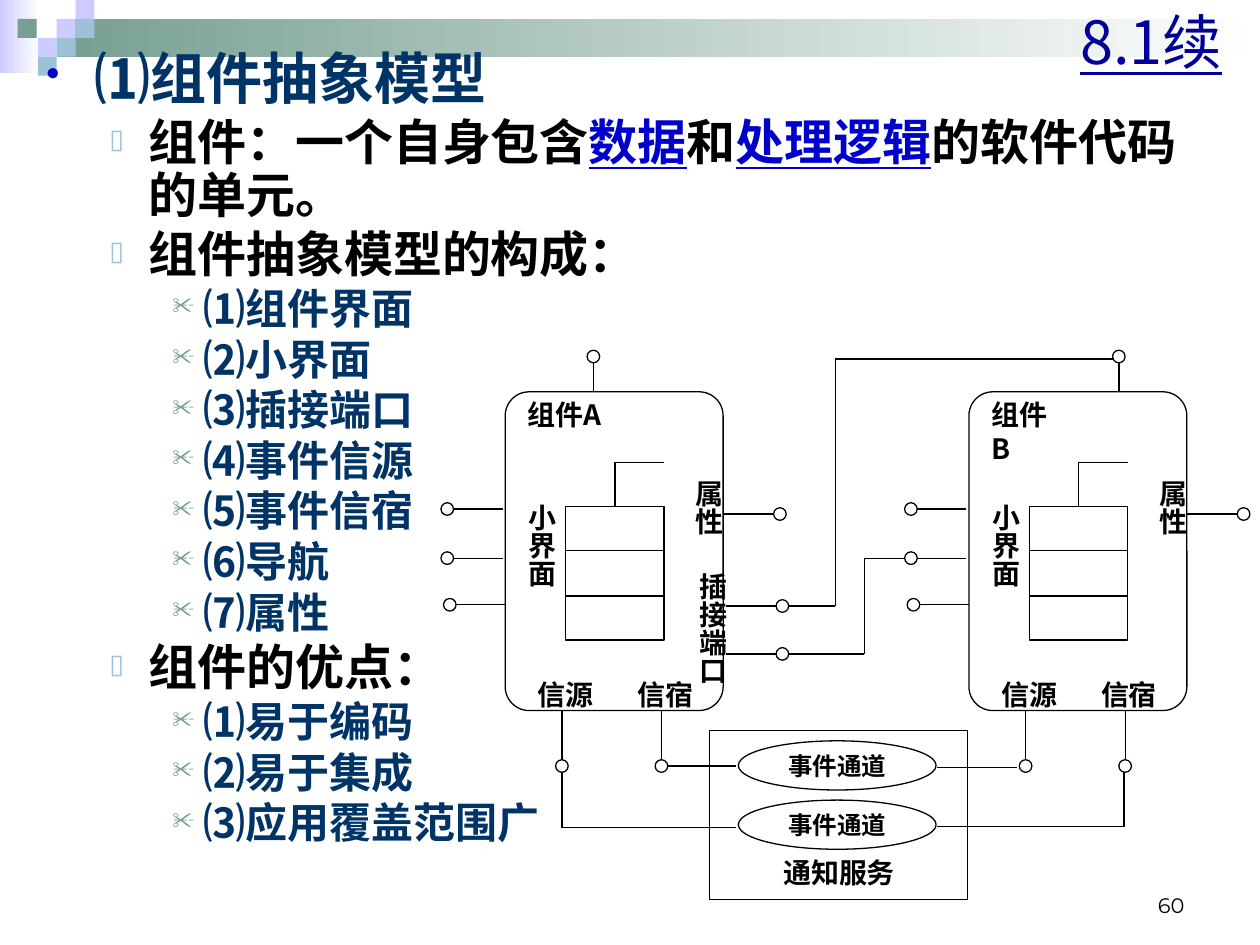
"""Build the slide on the abstract component model and its wiring diagram."""
from dataclasses import dataclass

from lxml import etree
from pptx import Presentation
from pptx import util as u
from pptx.dml.color import RGBColor
from pptx.enum import shapes, text
from pptx.oxml import ns

BLACK, NAVY, BLUE = "000000", "003366", "0000CC"
LILAC, SKY, GREEN, WHITE = "CCCCFF", "9DC2D7", "779F92", "FFFFFF"
CJK = "Noto Sans CJK SC"
COMPONENT_STEP = 3.68
CIRCLE = 0.1


@dataclass
class Level:
    size: int
    color: str
    left: float
    hanging: float
    space: float
    bullet: str
    bullet_color: str
    bullet_size: int


@dataclass
class Pin:
    x: float
    y: float
    dx: float
    dy: float


@dataclass
class Label:
    words: str
    left: float
    top: float
    width: float
    height: float
    vertical: bool = False
    font: str = "Arial"
    centred: bool = False


LEVELS = [
    Level(32, NAVY, 0.38, 0.38, 4, "•", BLUE, 70),
    Level(28, BLACK, 0.81, 0.31, 3.5, "▯", SKY, 55),
    Level(24, NAVY, 1.25, 0.25, 3, "✂", GREEN, 55),
]
OUTLINE = [
    (0, "⑴组件抽象模型"),
    (1, "组件：一个自身包含|数据|和|处理逻辑|的软件代码的单元。"),
    (1, "组件抽象模型的构成："),
    (2, "⑴组件界面"), (2, "⑵小界面"), (2, "⑶插接端口"), (2, "⑷事件信源"),
    (2, "⑸事件信宿"), (2, "⑹导航"), (2, "⑺属性"),
    (1, "组件的优点："),
    (2, "⑴易于编码"), (2, "⑵易于集成"), (2, "⑶应用覆盖范围广"),
]
SQUARES = [(0.45, 0.15, LILAC), (0.6, 0, LILAC), (0.6, 0.15, SKY), (0.3, 0.3, LILAC),
           (0.14, 0.15, GREEN), (0.45, 0.3, SKY), (0.3, 0.45, SKY)]
COMPONENT_PINS = [Pin(3.99, 4.04, -0.39, 0), Pin(3.99, 4.43, -0.39, 0), Pin(4.01, 4.8, -0.39, 0),
                  Pin(5.74, 4.08, 0.4, 0), Pin(4.46, 5.64, 0, 0.39), Pin(5.25, 5.64, 0, 0.39)]
OTHER_PINS = [Pin(5.76, 4.81, 0.4, 0), Pin(5.76, 5.19, 0.4, 0),
              Pin(4.71, 3.11, 0, -0.23), Pin(8.88, 3.11, 0, -0.23)]
COMPONENT_LABELS = [Label("信源", 4.17, 5.33, 0.86, 0.37), Label("信宿", 4.96, 5.33, 0.86, 0.37),
                    Label("属性", 5.35, 3.71, 0.46, 0.75, True),
                    Label("小界面", 4.02, 3.9, 0.46, 0.97, True)]
WIRES = [
    [(6.26, 5.19), (6.86, 5.19), (6.86, 4.43), (7.18, 4.43)],
    [(6.26, 4.81), (6.63, 4.81), (6.63, 2.85), (8.84, 2.85)],
    [(5.3, 6.08), (5.84, 6.08)],
    [(4.46, 6.13), (4.46, 6.57), (5.84, 6.57)],
    [(8.07, 6.09), (7.44, 6.09)],
    [(8.92, 6.13), (8.92, 6.56), (7.44, 6.56)],
]


def rgb(color: str) -> RGBColor:
    return RGBColor.from_string(color)


def format_run(run, size: float, color: str, font: str = "Arial", bold=False, underline=False):
    run.font.name, run.font.size = font, u.Pt(size)
    run.font.bold, run.font.underline = bold, underline
    run.font.color.rgb = rgb(color)
    etree.SubElement(run.font._element, ns.qn("a:ea"), typeface=CJK)


def add_box(slide, kind, left, top, width, height, fill=None, line=None, fade=False):
    shape = slide.shapes.add_shape(kind, *map(u.Inches, (left, top, width, height)))
    shape.shadow.inherit = False
    if fade:
        shape.fill.gradient()
        shape.fill.gradient_angle = 0
        for stop, color in zip(shape.fill.gradient_stops, (fill, WHITE)):
            stop.color.rgb = rgb(color)
    elif fill:
        shape.fill.solid()
        shape.fill.fore_color.rgb = rgb(fill)
    else:
        shape.fill.background()
    if line:
        shape.line.color.rgb, shape.line.width = rgb(line), u.Pt(0.75)
    else:
        shape.line.fill.background()
    return shape


def add_line(slide, start, end):
    line = slide.shapes.add_connector(shapes.MSO_CONNECTOR.STRAIGHT, *map(u.Inches, (*start, *end)))
    line.line.color.rgb, line.line.width = rgb(BLACK), u.Pt(0.75)
    etree.SubElement(line._element.spPr, ns.qn("a:effectLst"))
    return line


def add_text_box(slide, left, top, width, height):
    box = slide.shapes.add_textbox(*map(u.Inches, (left, top, width, height)))
    box.text_frame.word_wrap = True
    return box.text_frame


def add_label(slide, label: Label, shift: float = 0):
    frame = add_text_box(slide, label.left + shift, label.top, label.width, label.height)
    frame.text = label.words
    if label.vertical:
        frame._txBody.bodyPr.set("vert", "eaVert")
        frame.margin_left = frame.margin_right = u.Inches(0.05)
        frame.margin_top = frame.margin_bottom = u.Inches(0.1)
    if label.vertical or label.centred:
        frame.paragraphs[0].alignment = text.PP_ALIGN.CENTER
    format_run(frame.paragraphs[0].runs[0], 16, BLACK, label.font, bold=True)


def add_pin(slide, pin: Pin, shift: float = 0):
    x, y = pin.x + shift, pin.y
    length = abs(pin.dx) + abs(pin.dy)
    reach = 1 + CIRCLE / 2 / length
    add_line(slide, (x, y), (x + pin.dx, y + pin.dy))
    add_box(slide, shapes.MSO_SHAPE.OVAL, x + pin.dx * reach - CIRCLE / 2,
            y + pin.dy * reach - CIRCLE / 2, CIRCLE, CIRCLE, line=BLACK)


def add_component(slide, name: str, shift: float):
    body = add_box(slide, shapes.MSO_SHAPE.ROUNDED_RECTANGLE, 4.01 + shift, 3.11, 1.73, 2.53, line=BLACK)
    body.adjustments[0] = 0.11
    add_label(slide, Label(name, 4.09, 3.11, 0.79, 0.64, font=CJK), shift)
    for label in COMPONENT_LABELS:
        add_label(slide, label, shift)
    table = add_box(slide, shapes.MSO_SHAPE.RECTANGLE, 4.49 + shift, 4.02, 0.78, 1.06, line=BLACK)
    for y in (4.37, 4.73):
        add_line(slide, (4.49 + shift, y), (5.27 + shift, y))
    stem = add_line(slide, (4.88 + shift, 4.02), (4.88 + shift, 3.67))
    stem.begin_connect(table, 0)
    add_line(slide, (4.88 + shift, 3.67), (5.27 + shift, 3.67))
    for pin in COMPONENT_PINS:
        add_pin(slide, pin, shift)


def add_outline(slide):
    frame = add_text_box(slide, 0.27, 0.36, 9.45, 7.06)
    for index, (depth, words) in enumerate(OUTLINE):
        level = LEVELS[depth]
        paragraph = frame.add_paragraph() if index else frame.paragraphs[0]
        paragraph.level = depth
        properties = paragraph._p.get_or_add_pPr()
        properties.set("marL", str(u.Inches(level.left)))
        properties.set("indent", str(-u.Inches(level.hanging)))
        color = etree.SubElement(properties, ns.qn("a:buClr"))
        etree.SubElement(color, ns.qn("a:srgbClr"), val=level.bullet_color)
        etree.SubElement(properties, ns.qn("a:buSzPct"), val=str(level.bullet_size * 1000))
        etree.SubElement(properties, ns.qn("a:buChar"), char=level.bullet)
        paragraph.line_spacing = 0.9
        paragraph.space_before = u.Pt(level.space if index else 0)
        for part, piece in enumerate(words.split("|")):
            run = paragraph.add_run()
            run.text = piece
            keyword = part % 2 == 1
            format_run(run, level.size, BLUE if keyword else level.color, "Times New Roman", True, keyword)


def add_notification_service(slide):
    add_box(slide, shapes.MSO_SHAPE.RECTANGLE, 5.63, 5.8, 2.05, 1.34, line=BLACK)
    for top in (5.88, 6.35):
        channel = add_box(slide, shapes.MSO_SHAPE.OVAL, 5.86, top, 1.57, 0.39, line=BLACK)
        channel.text_frame.text = "事件通道"
        channel.text_frame.word_wrap = False
        channel.text_frame.paragraphs[0].alignment = text.PP_ALIGN.CENTER
        format_run(channel.text_frame.paragraphs[0].runs[0], 14, BLACK, bold=True)
    add_label(slide, Label("通知服务", 6.03, 6.74, 1.26, 0.37, centred=True))


def main():
    presentation = Presentation()
    presentation.slide_width, presentation.slide_height = u.Inches(10), u.Inches(7.5)
    slide = presentation.slides.add_slide(presentation.slide_layouts[5])
    add_box(slide, shapes.MSO_SHAPE.RECTANGLE, 0, 0, 0.31, 0.58, LILAC, fade=True)
    add_box(slide, shapes.MSO_SHAPE.RECTANGLE, 0.45, 0.15, 9.55, 0.3, GREEN, fade=True)
    for left, top, color in SQUARES:
        add_box(slide, shapes.MSO_SHAPE.RECTANGLE, left, top, 0.15, 0.15, color)

    title = slide.shapes.title
    title.left, title.top, title.width, title.height = map(u.Inches, (0.8, -0.03, 9, 0.71))
    slide.shapes._spTree.append(title._element)
    number = add_text_box(slide, 7.17, 6.83, 2.33, 0.5)
    for frame, words, anchor in ((title.text_frame, "8.1续", text.MSO_ANCHOR.MIDDLE),
                                 (number, "60", text.MSO_ANCHOR.BOTTOM)):
        frame.text = words
        frame.auto_size = text.MSO_AUTO_SIZE.NONE
        frame.vertical_anchor = anchor
        frame.paragraphs[0].alignment = text.PP_ALIGN.RIGHT
    format_run(title.text_frame.paragraphs[0].runs[0], 34, "000099", CJK, underline=True)
    format_run(number.paragraphs[0].runs[0], 12, BLACK, "Montserrat")

    add_outline(slide)
    for index, name in enumerate(("组件A", "组件B")):
        add_component(slide, name, index * COMPONENT_STEP)
    add_label(slide, Label("插接端口", 5.38, 4.45, 0.46, 1.16, True))
    for pin in OTHER_PINS:
        add_pin(slide, pin)
    add_notification_service(slide)
    for wire in WIRES:
        for start, end in zip(wire, wire[1:]):
            add_line(slide, start, end)
    presentation.save("out.pptx")


if __name__ == "__main__":
    main()
